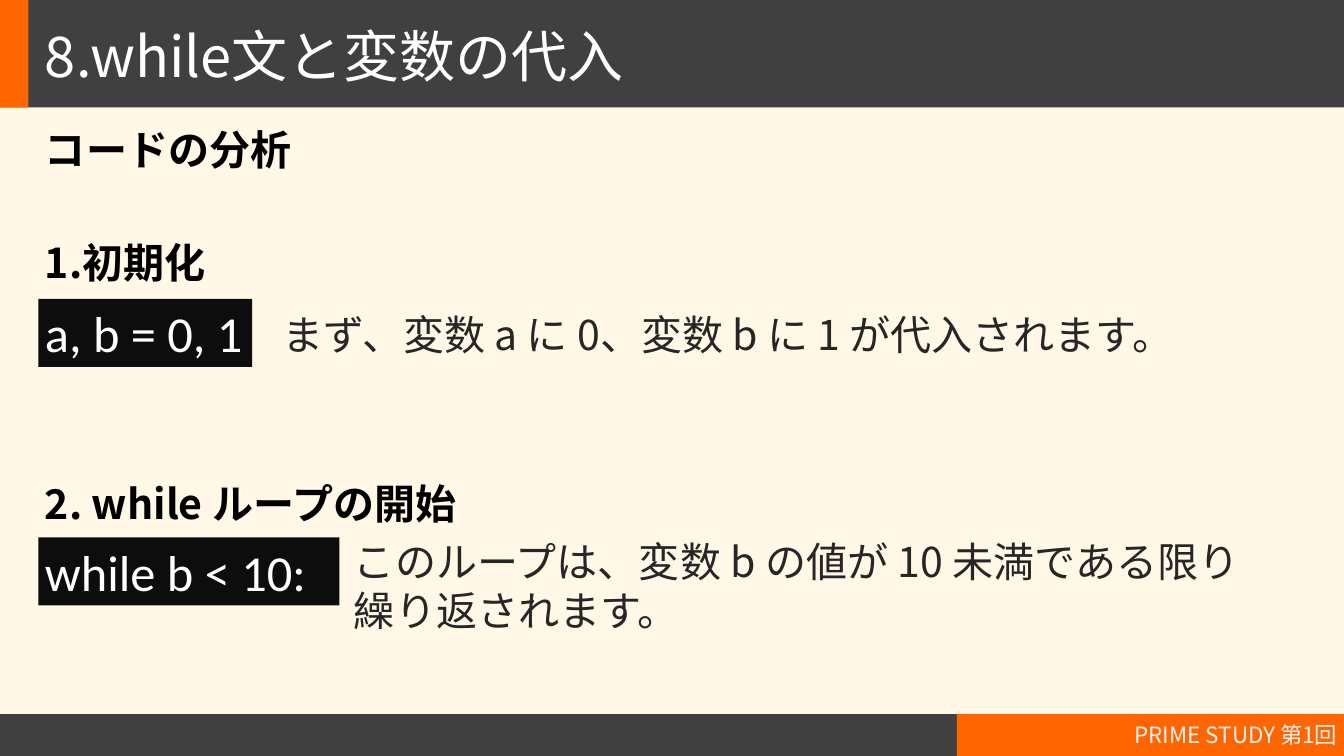
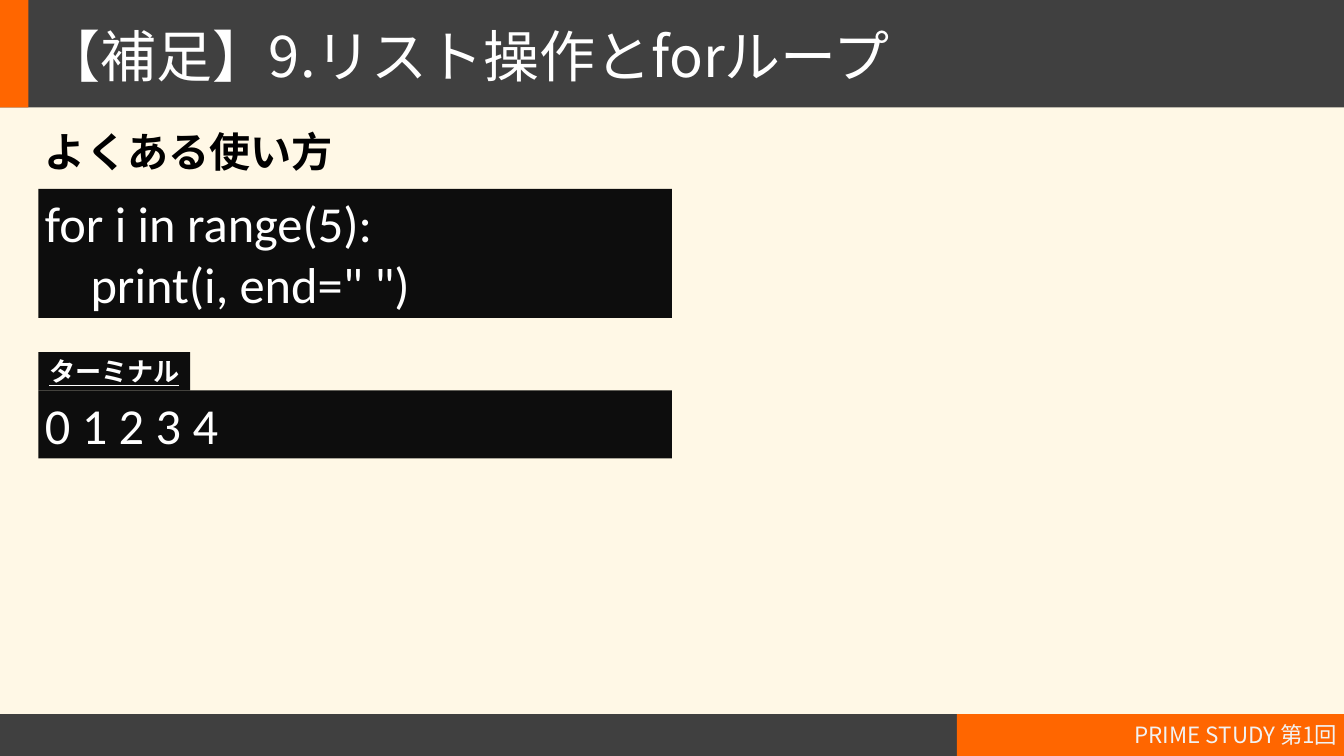
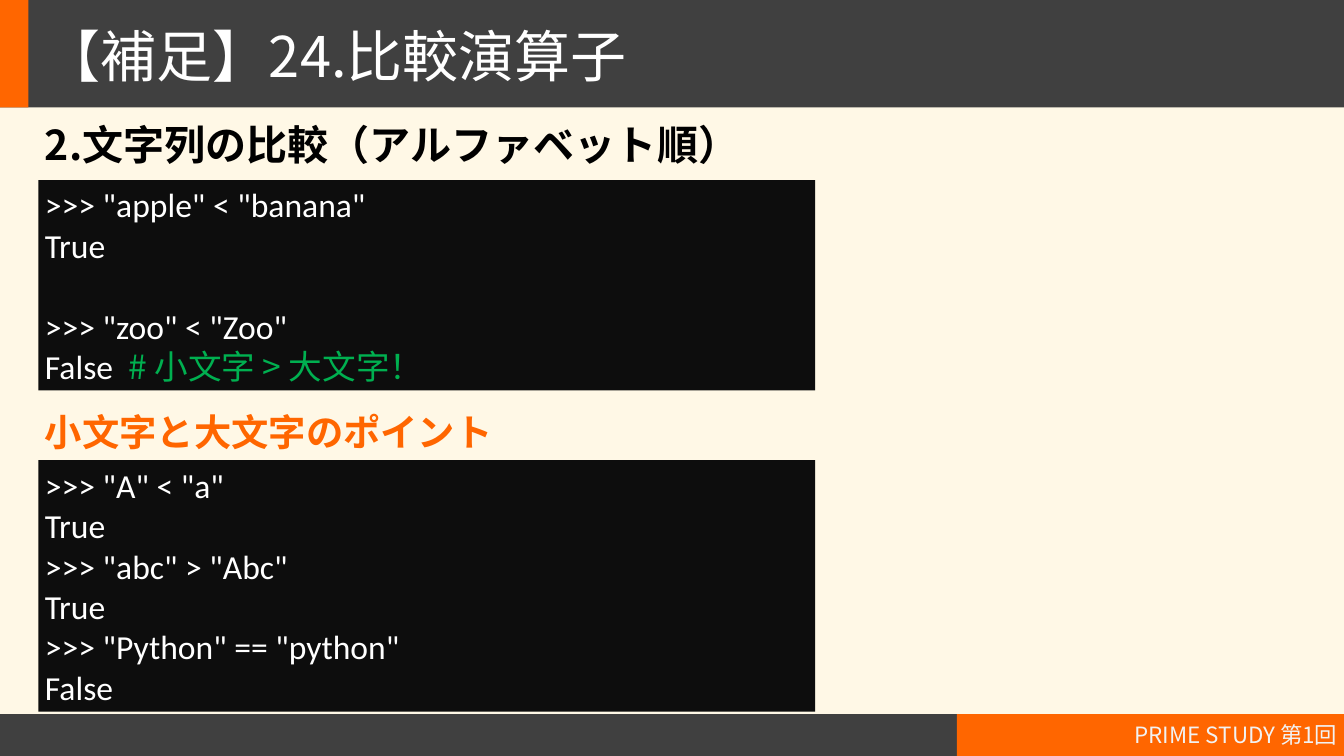
import pptx
import pptx.dml.color
import pptx.enum.shapes
import pptx.enum.text
import pptx.oxml
import pptx.oxml.ns
import pptx.util
from pptx.util import Cm

RGBColor = pptx.dml.color.RGBColor
ALIGN = pptx.enum.text.PP_ALIGN
ANCHOR = pptx.enum.text.MSO_ANCHOR

CREAM = RGBColor(0xFF, 0xF8, 0xE6)
CHARCOAL = RGBColor(0x40, 0x40, 0x40)
ORANGE = RGBColor(0xFF, 0x66, 0x00)
CODE_BLACK = RGBColor(0x0D, 0x0D, 0x0D)
BLACK = RGBColor(0x00, 0x00, 0x00)
INK = RGBColor(0x26, 0x26, 0x26)
WHITE = RGBColor(0xFF, 0xFF, 0xFF)
PALE = RGBColor(0xF2, 0xF2, 0xF2)
GREEN = RGBColor(0x00, 0xB0, 0x50)

JAPANESE = "Noto Sans CJK JP"
LATIN = "Calibri"

SLIDE_WIDTH, SLIDE_HEIGHT = 50.8, 28.58
MARGIN = 1.45
BAND_HEIGHT = 4.06
FOOTER_TOP, FOOTER_HEIGHT = 27, 1.58
FOOTER_SPLIT = 36.17


def set_east_asian_font(properties, name):
    element = pptx.oxml.parse_xml(
        f'<a:ea {pptx.oxml.ns.nsdecls("a")} typeface="{name}"/>')
    properties.find(pptx.oxml.ns.qn("a:latin")).addnext(element)


def style_paragraph(paragraph, size, color, name=JAPANESE, bold=False):
    font = paragraph.font
    font.size = pptx.util.Pt(size)
    font.name = name
    font.bold = bold
    font.color.rgb = color
    properties = paragraph._p.pPr.find(pptx.oxml.ns.qn("a:defRPr"))
    set_east_asian_font(properties, JAPANESE)


def add_block(slide, left, top, width, height, color):
    shape = slide.shapes.add_shape(
        pptx.enum.shapes.MSO_SHAPE.RECTANGLE,
        Cm(left), Cm(top), Cm(width), Cm(height))
    shape.shadow.inherit = False
    shape.fill.solid()
    shape.fill.fore_color.rgb = color
    shape.line.fill.background()
    return shape


def add_text(slide, left, top, width, height, text, size, color,
             bold=False, anchor=ANCHOR.TOP):
    box = slide.shapes.add_textbox(Cm(left), Cm(top), Cm(width), Cm(height))
    frame = box.text_frame
    frame.word_wrap = True
    frame.vertical_anchor = anchor
    paragraph = frame.paragraphs[0]
    paragraph.text = text
    style_paragraph(paragraph, size, color, bold=bold)
    return paragraph


def add_heading(slide, top, width, text, size=44, color=BLACK):
    paragraph = add_text(slide, MARGIN, top, width, 2.13, text, size, color,
                         bold=True)
    paragraph.line_spacing = 0.9


def add_explanation(slide, left, top, height, text):
    add_text(slide, left, top, 34.34, height, text, 44, INK,
             anchor=ANCHOR.MIDDLE)


def add_code(slide, top, width, height, lines, size=54, anchor=ANCHOR.TOP):
    frame = add_block(slide, MARGIN, top, width, height, CODE_BLACK).text_frame
    frame.word_wrap = True
    frame.vertical_anchor = anchor
    for index, line in enumerate(lines):
        paragraph = frame.add_paragraph() if index else frame.paragraphs[0]
        paragraph.text = line
        paragraph.alignment = ALIGN.LEFT
        style_paragraph(paragraph, size, WHITE, LATIN)
    return frame.paragraphs


def add_terminal_tab(slide, top):
    frame = add_block(slide, MARGIN, top, 5.74, 1.45, CODE_BLACK).text_frame
    frame.vertical_anchor = ANCHOR.TOP
    paragraph = frame.paragraphs[0]
    paragraph.text = "ターミナル"
    paragraph.alignment = ALIGN.CENTER
    style_paragraph(paragraph, 28, WHITE, bold=True)
    paragraph.font.underline = True


def add_comment(paragraph, text):
    run = paragraph.add_run()
    run.text = text
    run.font.name = JAPANESE
    run.font.color.rgb = GREEN
    set_east_asian_font(run._r.rPr, JAPANESE)


def add_lesson_slide(presentation, title):
    slide = presentation.slides.add_slide(presentation.slide_layouts[6])
    slide.background.fill.solid()
    slide.background.fill.fore_color.rgb = CREAM
    add_block(slide, 0, FOOTER_TOP, SLIDE_WIDTH, FOOTER_HEIGHT, CHARCOAL)
    add_block(slide, FOOTER_SPLIT, FOOTER_TOP, SLIDE_WIDTH - FOOTER_SPLIT,
              FOOTER_HEIGHT, ORANGE)
    add_block(slide, 0, 0, SLIDE_WIDTH, BAND_HEIGHT, CHARCOAL)
    add_block(slide, 0, 0, 1.07, BAND_HEIGHT, ORANGE)
    heading = add_text(slide, MARGIN, 0.97, 49.02, 2.13, title, 60, WHITE)
    heading.line_spacing = 0.9
    footer = add_text(slide, 33.66, FOOTER_TOP, 17.14, 1.52,
                      "PRIME STUDY 第1回", 24, PALE, anchor=ANCHOR.MIDDLE)
    footer.alignment = ALIGN.RIGHT
    return slide


def build_while_slide(presentation):
    slide = add_lesson_slide(presentation, "8.while文と変数の代入")
    add_heading(slide, 4.78, 12.9, "コードの分析")
    add_heading(slide, 9.07, 12.9, "1.初期化")
    add_code(slide, 11.3, 8.08, 2.57, ["a, b = 0, 1"])
    add_explanation(slide, 10.44, 11.56, 2.13,
                    "まず、変数 a に 0、変数 b に 1 が代入されます。")
    add_heading(slide, 18.19, 18.64, "2. while ループの開始")
    add_code(slide, 20.32, 11.38, 2.57, ["while b < 10:"])
    add_explanation(slide, 13.13, 20.12, 4.01,
                    "このループは、変数 b の値が 10 未満である限り繰り返されます。")


def build_for_slide(presentation):
    slide = add_lesson_slide(presentation, "【補足】9.リスト操作とforループ")
    add_heading(slide, 4.88, 22.86, "よくある使い方")
    add_code(slide, 7.14, 23.95, 4.88,
             ["for i in range(5):", '    print(i, end=" ")'])
    add_code(slide, 14.76, 23.95, 2.57, ["0 1 2 3 4"])
    add_terminal_tab(slide, 13.31)


def build_comparison_slide(presentation):
    slide = add_lesson_slide(presentation, "【補足】24.比較演算子")
    add_heading(slide, 4.6, 30, "2.文字列の比較（アルファベット順）")
    paragraphs = add_code(
        slide, 6.81, 29.36, 7.95,
        ['>>> "apple" < "banana"', "True", '>>> "zoo" < "Zoo"', "False  "],
        36, ANCHOR.MIDDLE)
    paragraphs[2].space_before = pptx.util.Pt(44)
    add_comment(paragraphs[3], "# 小文字 > 大文字！")
    add_heading(slide, 15.52, 30, "小文字と大文字のポイント", 40, ORANGE)
    add_code(
        slide, 17.4, 29.36, 9.5,
        ['>>> "A" < "a"', "True", '>>> "abc" > "Abc"', "True",
         '>>> "Python" == "python"', "False"],
        36, ANCHOR.MIDDLE)


def main():
    presentation = pptx.Presentation()
    presentation.slide_width = Cm(SLIDE_WIDTH)
    presentation.slide_height = Cm(SLIDE_HEIGHT)
    build_while_slide(presentation)
    build_for_slide(presentation)
    build_comparison_slide(presentation)
    presentation.save("out.pptx")


if __name__ == "__main__":
    main()
